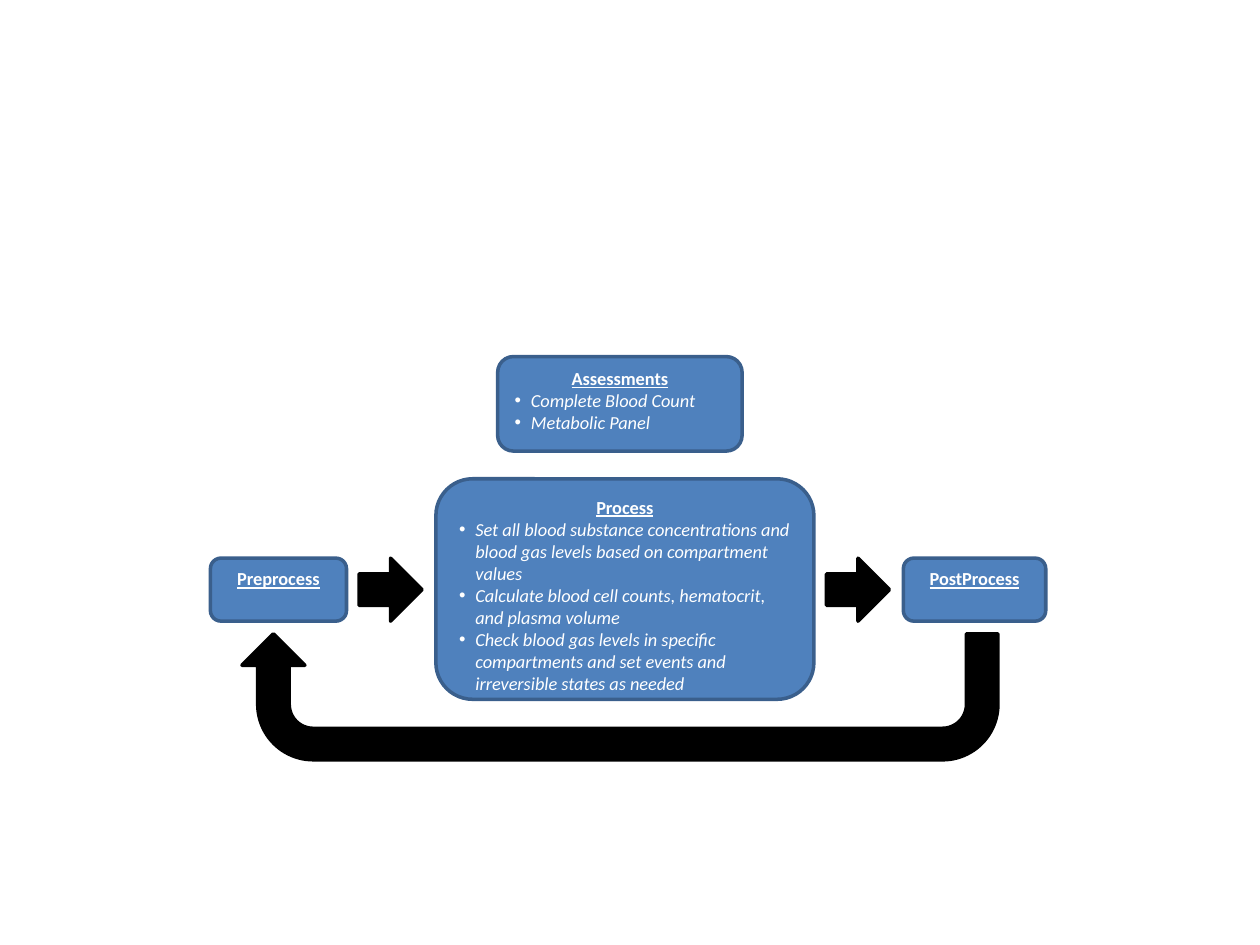
from dataclasses import dataclass

from lxml.etree import SubElement
from pptx import Presentation
from pptx.dml.color import RGBColor
from pptx.enum.shapes import MSO_SHAPE as Preset
from pptx.enum.text import MSO_ANCHOR as Anchor, PP_ALIGN as Align
from pptx.oxml.ns import qn
from pptx.shapes.autoshape import Shape
from pptx.util import Inches, Pt

COLOURS = {"stage": "4F81BD", "border": "3A5F8C", "arrow": "000000", "text": "FFFFFF"}
INDENT = Inches(0.13)
FLOW_TOP = 4.43
FLOW_HEIGHT = 0.5


@dataclass(frozen=True)
class Stage:
    """A rounded box with a heading and optional bulleted tasks."""
    heading: str
    left: float
    top: float
    width: float
    height: float
    tasks: tuple[str, ...] = ()


@dataclass(frozen=True)
class Arrow:
    """A rotated block arrow."""
    preset: Preset
    left: float
    top: float
    width: float
    height: float
    rotation: float
    adjustments: tuple[float, ...] = ()


STAGES = (
    Stage("Preprocess", 1.67, FLOW_TOP, 1.08, FLOW_HEIGHT),
    Stage("Process", 3.46, 3.8, 3, 1.75, (
        "Set all blood substance concentrations and blood gas levels "
        "based on compartment values",
        "Calculate blood cell counts, hematocrit, and plasma volume",
        "Check blood gas levels in specific compartments and set events "
        "and irreversible states as needed",
    )),
    Stage("PostProcess", 7.17, FLOW_TOP, 1.13, FLOW_HEIGHT),
    Stage("Assessments", 3.95, 2.83, 1.94, 0.75,
          ("Complete Blood Count", "Metabolic Panel")),
)
ARROWS = (
    *(Arrow(Preset.DOWN_ARROW, left, FLOW_TOP, 0.5, FLOW_HEIGHT, 270)
      for left in (2.85, 6.56)),
    Arrow(Preset.U_TURN_ARROW, 1.92, 5.03, 6, 1, 180, (0.25, 0.25, 0.25, 0.44, 1)),
)


def add_block(shapes, preset: Preset, item: Stage | Arrow, fill: str, border: str) -> Shape:
    """Add a filled, outlined preset shape at the item's position."""
    block = shapes.add_shape(preset, Inches(item.left), Inches(item.top),
                             Inches(item.width), Inches(item.height))
    block.shadow.inherit = False
    block.fill.solid()
    block.fill.fore_color.rgb = RGBColor.from_string(COLOURS[fill])
    block.line.color.rgb = RGBColor.from_string(COLOURS[border])
    block.line.width = Pt(2)
    return block


def add_bullet(paragraph) -> None:
    """Give a paragraph a round bullet with a hanging indent."""
    properties = paragraph._p.get_or_add_pPr()
    properties.set("marL", str(INDENT))
    properties.set("indent", str(-INDENT))
    SubElement(properties, qn("a:buFont")).set("typeface", "Arial")
    SubElement(properties, qn("a:buChar")).set("char", "•")


def draw_stage(shapes, stage: Stage) -> None:
    """Draw a stage box with its heading and tasks."""
    frame = add_block(shapes, Preset.ROUNDED_RECTANGLE, stage, "stage", "border").text_frame
    frame.word_wrap = True
    frame.vertical_anchor = Anchor.TOP
    for index, wording in enumerate((stage.heading, *stage.tasks)):
        is_heading = index == 0
        paragraph = frame.paragraphs[0] if is_heading else frame.add_paragraph()
        paragraph.text = wording
        paragraph.alignment = Align.CENTER if is_heading else Align.LEFT
        font = paragraph.font
        font.name = "Calibri"
        font.size = Pt(10.5)
        font.color.rgb = RGBColor.from_string(COLOURS["text"])
        font.bold = font.underline = is_heading
        font.italic = not is_heading
        if not is_heading:
            add_bullet(paragraph)


def draw_arrow(shapes, arrow: Arrow) -> None:
    """Draw a block arrow with its rotation and proportions."""
    block = add_block(shapes, arrow.preset, arrow, "arrow", "arrow")
    block.rotation = arrow.rotation
    for index, value in enumerate(arrow.adjustments):
        block.adjustments[index] = value


def main() -> None:
    """Build and save the process slide."""
    deck = Presentation()
    deck.slide_width, deck.slide_height = Inches(10), Inches(7.5)
    shapes = deck.slides.add_slide(deck.slide_layouts[6]).shapes
    for stage in STAGES:
        draw_stage(shapes, stage)
    for arrow in ARROWS:
        draw_arrow(shapes, arrow)
    deck.save("out.pptx")


main()
